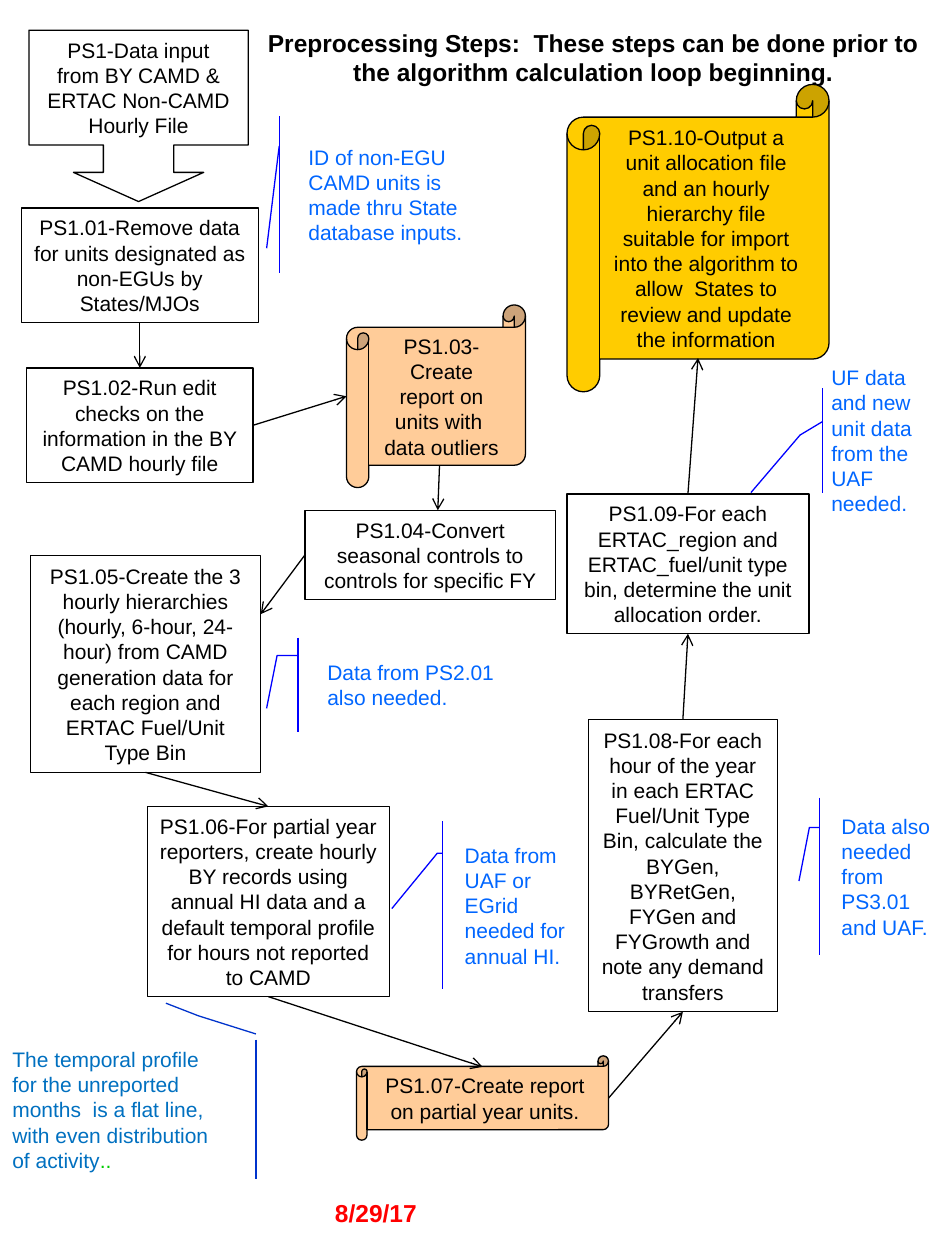
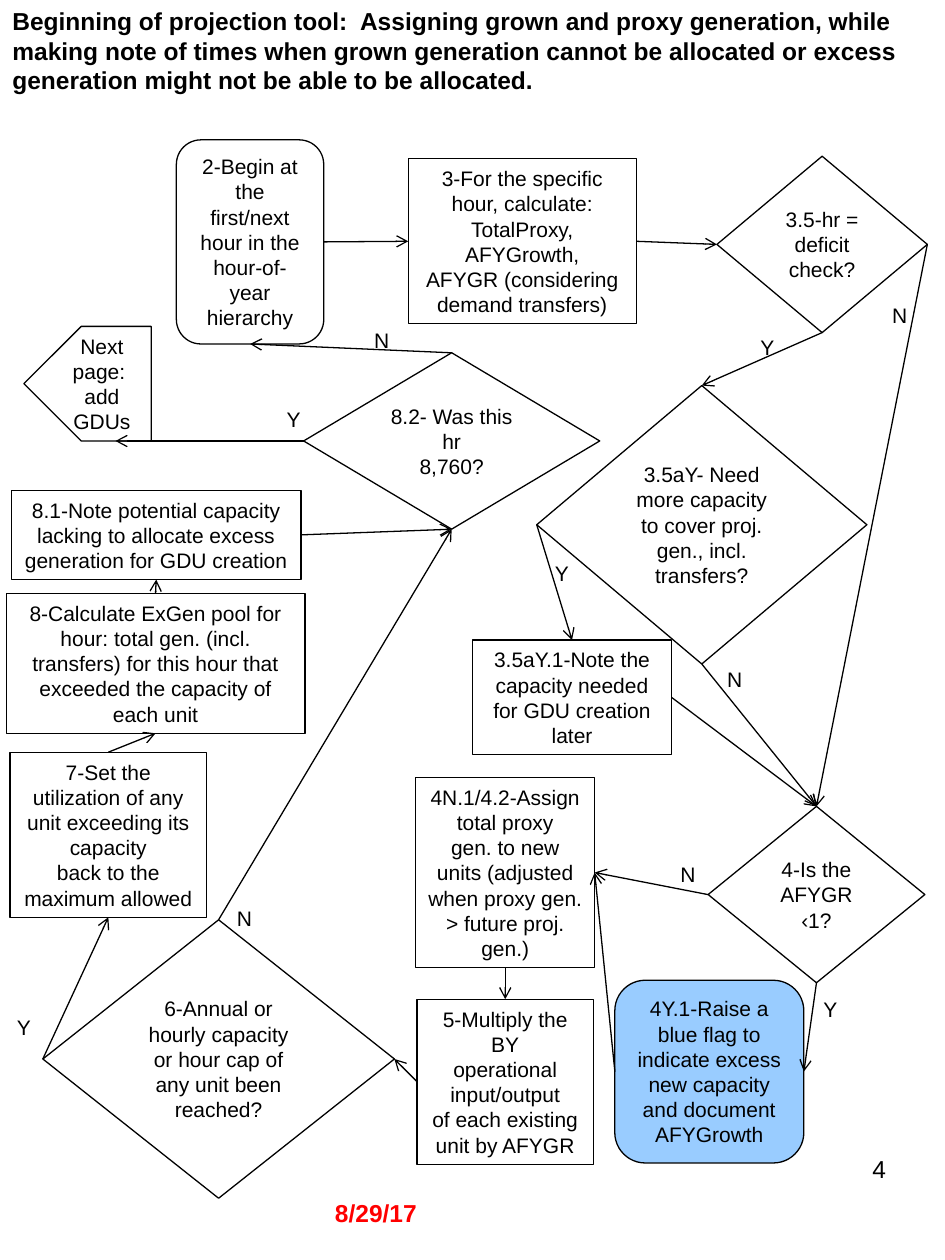
"""Two flow charts: preprocessing steps and the start of the projection tool."""
from dataclasses import dataclass

from lxml import etree
from pptx import Presentation
from pptx import util as u
from pptx.dml.color import RGBColor
from pptx.enum import shapes, text
from pptx.oxml.ns import qn

BLACK, WHITE, RED = "000000", "FFFFFF", "FF0000"
PEACH, GOLD, SKY = "FFCC99", "FFCC00", "99CCFF"
NOTE_TEXT, NOTE_LINE = "0066FF", "0000FF"
FONT, BODY, HEAD = "Arial", 12, 14
COLS, ROWS = 75, 100  # the grid that every area is divided into

KIND = shapes.MSO_SHAPE
RECT, PROCESS = KIND.RECTANGLE, KIND.FLOWCHART_PROCESS
DECISION, ROUNDED = KIND.FLOWCHART_DECISION, KIND.FLOWCHART_ALTERNATE_PROCESS
SCROLL, PENTAGON = KIND.HORIZONTAL_SCROLL, KIND.PENTAGON
INPUT = KIND.DOWN_ARROW_CALLOUT
NOTE1, NOTE2 = KIND.LINE_CALLOUT_1_ACCENT_BAR, KIND.LINE_CALLOUT_2_ACCENT_BAR

LEFT, CENTER, RIGHT = text.PP_ALIGN.LEFT, text.PP_ALIGN.CENTER, text.PP_ALIGN.RIGHT
# side: (share of width, share of height, connection site)
SIDES = {"t": (0.5, 0, 0), "l": (0, 0.5, 1), "b": (0.5, 1, 2), "r": (1, 0.5, 3)}


@dataclass
class Area:
    """A box on the slide, in EMU."""
    x: int
    y: int
    w: int
    h: int

    def cell(self, col, row, cols, rows):
        """Return the part of the area at a grid place."""
        return Area(int(self.x + self.w * col / COLS), int(self.y + self.h * row / ROWS),
                    int(self.w * cols / COLS), int(self.h * rows / ROWS))

    def box(self):
        """Return left, top, width and height."""
        return self.x, self.y, self.w, self.h


def rgb(color):
    """Turn a hex string into a colour."""
    return RGBColor.from_string(color)


def write(sp, runs, size=BODY, color=BLACK, bold=False, align=LEFT,
          anchor=text.MSO_ANCHOR.TOP, grow=True):
    """Write runs of (words, colour); a line break starts a new paragraph."""
    tf = sp.text_frame
    tf.word_wrap = True
    tf.vertical_anchor = anchor
    tf.auto_size = text.MSO_AUTO_SIZE.SHAPE_TO_FIT_TEXT if grow else text.MSO_AUTO_SIZE.NONE
    p = tf.paragraphs[0]
    p.alignment = align
    for words, run_color in ([(runs, color)] if isinstance(runs, str) else runs):
        for i, line in enumerate(words.split("\n")):
            if i:
                p = tf.add_paragraph()
                p.alignment = align
            r = p.add_run()
            r.text = line
            r.font.name, r.font.size, r.font.bold = FONT, u.Pt(size), bold
            r.font.color.rgb = rgb(run_color)


def label(s, area, words, **style):
    """Add a plain text box."""
    write(s.shapes.add_textbox(*area.box()), words, **style)


def outline(s, area, kind, line=BLACK, fill=None, adjust=()):
    """Add a preset shape with a thin line and an optional fill."""
    sp = s.shapes.add_shape(kind, *area.box())
    sp.shadow.inherit = False
    sp.line.color.rgb = rgb(line)
    sp.line.width = u.Pt(0.75)
    if fill:
        sp.fill.solid()
        sp.fill.fore_color.rgb = rgb(fill)
    else:
        sp.fill.background()
    for i, value in enumerate(adjust):
        sp.adjustments[i] = value
    return sp


def step(s, area, kind, words, fill=None, adjust=()):
    """Add one step of the flow with centred text."""
    sp = outline(s, area, kind, fill=fill, adjust=adjust)
    if kind == PENTAGON:  # points back to the left
        sp._element.spPr.find(qn("a:xfrm")).set("flipH", "1")
    write(sp, words, align=CENTER, anchor=text.MSO_ANCHOR.MIDDLE)
    return sp


def note(s, area, kind, adjust, words, line=NOTE_LINE, grow=False):
    """Add a remark with an accent bar and a leader line."""
    sp = outline(s, area, kind, line=line, adjust=adjust)
    write(sp, words, color=NOTE_TEXT, anchor=text.MSO_ANCHOR.MIDDLE, grow=grow)


def arrow(s, start, start_at, end, end_at):
    """Join two steps; each end is a side or a pair of shares of the step."""
    points = []
    for sp, at in ((start, start_at), (end, end_at)):
        fx, fy = SIDES[at][:2] if at in SIDES else at
        points += [int(sp.left + sp.width * fx), int(sp.top + sp.height * fy)]
    c = s.shapes.add_connector(shapes.MSO_CONNECTOR.STRAIGHT, *points)
    if start_at in SIDES:
        c.begin_connect(start, SIDES[start_at][2])
    if end_at in SIDES:
        c.end_connect(end, SIDES[end_at][2])
    c.line.color.rgb = rgb(BLACK)
    c.line.width = u.Pt(0.75)
    etree.SubElement(c.line._get_or_add_ln(), qn("a:tailEnd"), type="arrow")
    etree.SubElement(c._element.spPr, qn("a:effectLst"))


def flow(s, area, steps, arrows):
    """Draw the steps, then the arrows between them."""
    drawn = {name: step(s, area.cell(*cell), *rest)
             for name, (cell, *rest) in steps.items()}
    for start, start_at, end, end_at in arrows:
        arrow(s, drawn[start], start_at, drawn[end], end_at)


def frame(s, area, title_cell, title, align):
    """Add the title and the date that every slide carries."""
    label(s, area.cell(*title_cell), title, size=HEAD, bold=True, align=align)
    label(s, area.cell(25.6, 94.6, 23.8, 3.4), "8/29/17", size=HEAD, color=RED,
          bold=True, grow=False)


PRE_STEPS = {
    "input": ((2.3, 2.4, 17.4, 13.6), INPUT,
              "PS1-Data input\nfrom BY CAMD & ERTAC Non-CAMD Hourly File",
              None, (0.41, 0.38, 0.17, 0.67)),
    "1.01": ((1.7, 16.5, 18.8, 9.1), RECT,
             "PS1.01-Remove data for units designated as non-EGUs by States/MJOs", WHITE),
    "1.02": ((2.1, 29.2, 18, 9.1), RECT,
             "PS1.02-Run edit checks on the information in the BY CAMD hourly file"),
    "1.03": ((27.5, 24.2, 14.2, 14.5), SCROLL,
             "PS1.03-Create report on units with  data outliers", PEACH),
    "1.04": ((24.2, 40.5, 19.9, 7.1), RECT,
             "PS1.04-Convert seasonal controls to controls for specific FY", WHITE),
    "1.05": ((2.4, 44.1, 18.3, 17.2), RECT,
             "PS1.05-Create the 3 hourly hierarchies (hourly, 6-hour, 24-hour) from CAMD "
             "generation data for each region and ERTAC Fuel/Unit Type Bin"),
    "1.06": ((11.7, 64, 19.2, 15.1), RECT,
             "PS1.06-For partial year reporters, create hourly BY records using annual HI "
             "data and a default temporal profile for hours not reported to CAMD"),
    "1.07": ((28.3, 83.8, 20, 6.7), SCROLL,
             "PS1.07-Create report on partial year units.", PEACH),
    "1.08": ((46.7, 57.1, 15, 23.2), RECT,
             "PS1.08-For each hour of the year in each ERTAC Fuel/Unit Type Bin, calculate "
             "the BYGen, BYRetGen, FYGen and FYGrowth and note any demand transfers"),
    "1.09": ((45, 39.2, 19.2, 11.1), RECT,
             "PS1.09-For each ERTAC_region and ERTAC_fuel/unit type bin, determine the "
             "unit allocation order."),
    "1.10": ((45, 6.7, 20.8, 24.4), SCROLL,
             "PS1.10-Output a unit allocation file and an hourly hierarchy file suitable "
             "for import into the algorithm to allow  States to review and update the "
             "information", GOLD),
}
PRE_ARROWS = [
    ("1.01", "b", "1.02", "t"), ("1.02", "r", "1.03", "l"),
    ("1.03", (0.52, 0.88), "1.04", (0.53, 0)), ("1.04", (0, 0.5), "1.05", (1, 0.27)),
    ("1.05", "b", "1.06", "t"), ("1.06", "b", "1.07", (0.5, 0.13)),
    ("1.07", "r", "1.08", "b"), ("1.08", "t", "1.09", "b"),
    ("1.09", "t", "1.10", (0.5, 0.89)),
]
PRE_NOTES = [
    ((23.5, 9.2, 16.7, 12.5), NOTE1, (0.19, -0.08, 0.84, -0.14),
     "ID of non-EGU CAMD units is made thru State database inputs."),
    ((25, 50.6, 16.7, 7.5), NOTE2, (0.19, -0.08, 0.19, -0.18, 0.75, -0.23),
     "Data from PS2.01 also needed."),
    ((35.9, 65.2, 10, 13.3), NOTE2, (0.19, -0.08, 0.19, -0.12, 0.52, -0.48),
     "Data from UAF or EGrid needed for annual HI."),
    ((65.8, 63.3, 9.2, 12.5), NOTE2, (0.19, -0.08, 0.19, -0.17, 0.53, -0.26),
     "Data also needed from PS3.01 and UAF."),
    ((65, 30.8, 10, 8.3), NOTE2, (0.32, 0.03, 0.45, -0.15, 1, -0.54),
     "UF data and new unit data from the UAF needed."),
    ((0, 82.5, 18.3, 11.1), NOTE2, (-0.04, 1.11, -0.17, 0.86, -0.26, 0.72),
     [("The temporal profile for the unreported months  is a flat line, with even "
       "distribution of activity", "0070C0"), ("..", "00CC00")], "0033CC", True),
]

TOOL_STEPS = {
    "2": ((14, 11.1, 11.7, 16.2), ROUNDED,
          "2-Begin at the first/next\nhour in the hour-of-year hierarchy"),
    "3": ((32.4, 12.6, 18.1, 13.1), PROCESS,
          "3-For the specific hour, calculate:\nTotalProxy, AFYGrowth,\n"
          "AFYGR (considering demand transfers)"),
    "3.5": ((56.9, 12.4, 16.7, 14), DECISION, "3.5-hr = deficit\ncheck?"),
    "3.5aY": ((42.6, 30.6, 26.2, 22.1), DECISION,
              "3.5aY- Need more capacity to cover proj. gen., incl. transfers?"),
    "3.5aY.1": ((37.5, 50.8, 15.8, 9.1), PROCESS,
                "3.5aY.1-Note the capacity needed for GDU creation later"),
    "4": ((56.2, 64, 17.2, 14), DECISION, "4-Is the\nAFYGR\n‹1?"),
    "4Y.1": ((48.8, 77.8, 15, 14.5), ROUNDED,
             "4Y.1-Raise a blue flag to indicate excess new capacity and document "
             "AFYGrowth", SKY),
    "4N.1": ((33, 61.7, 14.2, 15.1), RECT,
             "4N.1/4.2-Assign total proxy\ngen. to new units (adjusted when proxy gen. "
             "> future proj. gen.)"),
    "5": ((33.1, 79.3, 14, 13.1), PROCESS,
          "5-Multiply the BY\noperational input/output\nof each existing unit by AFYGR"),
    "6": ((3.4, 73, 27.9, 22.1), DECISION,
          "6-Annual or hourly capacity or hour cap of any unit been reached?"),
    "7": ((0.8, 59.7, 15.6, 13.1), PROCESS,
          "7-Set the utilization of any\nunit exceeding its capacity\n"
          "back to the maximum allowed"),
    "8": ((0.5, 47.1, 23.7, 11.1), PROCESS,
          "8-Calculate ExGen pool for hour: total gen. (incl. transfers) for this hour "
          "that exceeded the capacity of each unit"),
    "8.1": ((0.9, 38.9, 23, 7.1), PROCESS,
            "8.1-Note potential capacity lacking to allocate excess generation for GDU "
            "creation"),
    "8.2": ((24.1, 28, 23.5, 14), DECISION, "8.2- Was this hr\n8,760?"),
    "next": ((1.9, 25.9, 10.1, 9.1), PENTAGON, "Next page:  add GDUs"),
}
TOOL_ARROWS = [
    ("2", "r", "3", "l"), ("3", "r", "3.5", "l"), ("3.5", "r", "4", "t"),
    ("3.5", "b", "3.5aY", "t"), ("3.5aY", "l", "3.5aY.1", "t"),
    ("3.5aY", "b", "4", "t"), ("3.5aY.1", "r", "4", "t"), ("4", "l", "4N.1", "r"),
    ("4", "b", "4Y.1", "r"), ("4Y.1", "l", "4N.1", "r"), ("4N.1", "b", "5", "t"),
    ("5", "l", "6", "r"), ("6", "l", "7", "b"), ("6", "t", "8.2", "b"),
    ("7", "t", "8", "b"), ("8", "t", "8.1", "b"), ("8.1", "r", "8.2", "b"),
    ("8.2", "t", "2", "b"), ("8.2", "l", "next", (0.72, 1)),
]
ANSWER_WIDTH = {"Y": 4.2, "N": 5.8}
ANSWERS = {
    "Y": [(58.8, 26.1), (42.5, 44), (-0.2, 80), (21.2, 31.8), (63.8, 78.6)],
    "N": [(68.5, 23.5), (55.4, 52.4), (16.5, 71.4), (27.4, 25.5), (51.7, 67.9)],
}


def preprocessing(s, area):
    """Draw the preprocessing steps and their remarks."""
    frame(s, area, (19.2, 1.7, 55.8, 5.7),
          "Preprocessing Steps:  These steps can be done prior to the algorithm "
          "calculation loop beginning.", CENTER)
    flow(s, area, PRE_STEPS, PRE_ARROWS)
    for cell, *rest in PRE_NOTES:
        note(s, area.cell(*cell), *rest)


def projection(s, area):
    """Draw the start of the projection tool with its yes and no answers."""
    frame(s, area, (0, 0, 75, 8.1),
          "Beginning of projection tool:  Assigning grown and proxy generation, while "
          "making note of times when grown generation cannot be allocated or excess "
          "generation might not be able to be allocated.", LEFT)
    flow(s, area, TOOL_STEPS, TOOL_ARROWS)
    for answer, places in ANSWERS.items():
        for col, row in places:
            label(s, area.cell(col, row, ANSWER_WIDTH[answer], 3), answer, align=CENTER)
    label(s, area.cell(53.8, 91.1, 17.5, 6.9), "4", size=HEAD, align=RIGHT, grow=False)


def main():
    """Build and save the slides."""
    prs = Presentation()
    prs.slide_width, prs.slide_height = u.Inches(7.5), u.Inches(10)
    page = Area(0, 0, prs.slide_width, prs.slide_height)
    for draw in (preprocessing, projection):
        draw(prs.slides.add_slide(prs.slide_layouts[6]), page)
    prs.save("out.pptx")


main()
